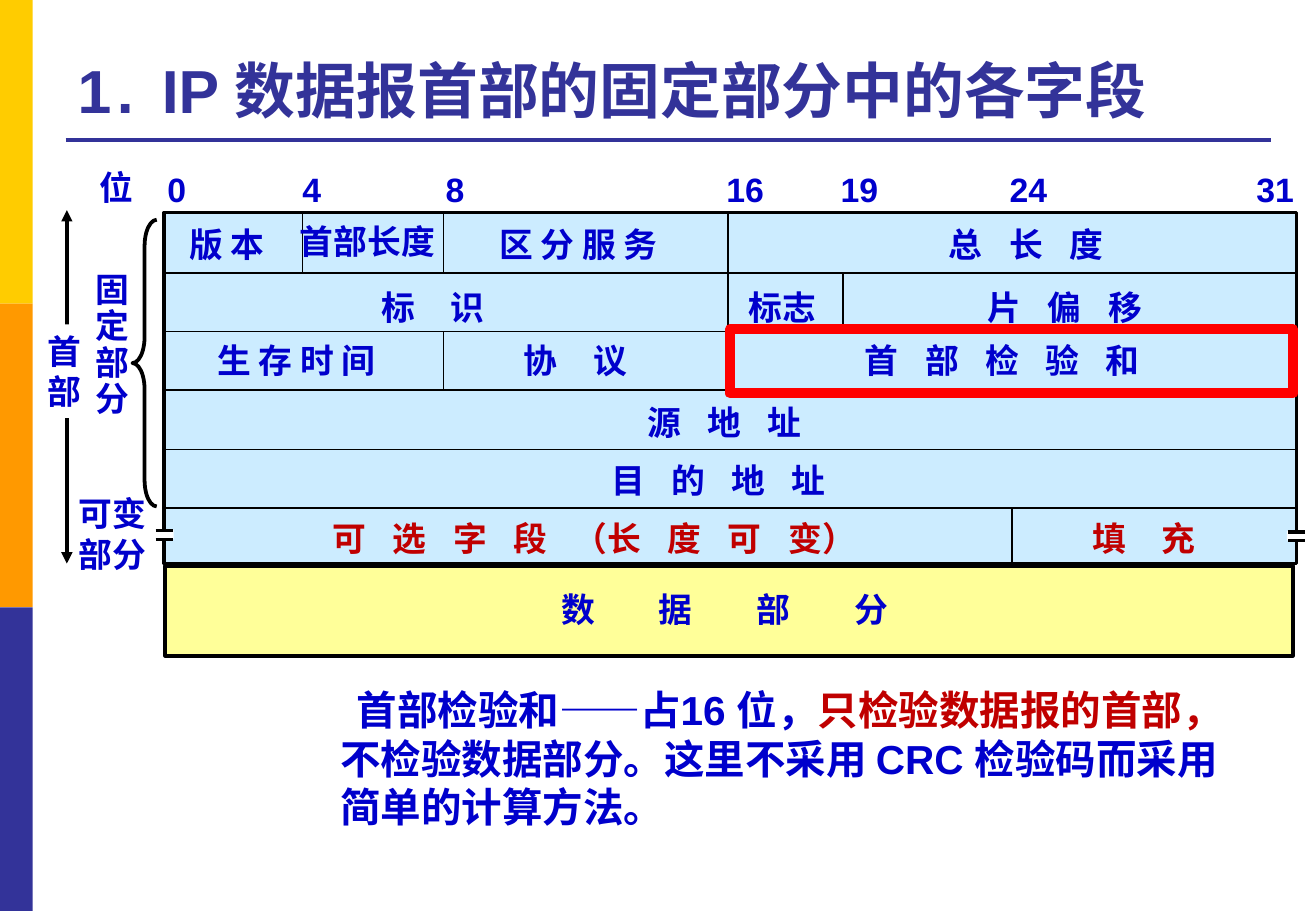
from lxml.etree import SubElement
from pptx import Presentation
from pptx.dml.color import RGBColor
from pptx.enum.shapes import MSO_CONNECTOR as Connector, MSO_SHAPE as Shape
from pptx.enum.text import MSO_ANCHOR as Anchor, PP_ALIGN as Align
from pptx.oxml.ns import qn
from pptx.util import Inches, Pt

BLUE, RED, NAVY = "0000CC", "C00000", "333399"
BLACK, WHITE = "000000", "FFFFFF"
TABLE_LEFT, TABLE_RIGHT = 1.34, 10.68
TABLE_TOP, ROW_STEP = 1.76, 0.485
ROW_LINES = [round(TABLE_TOP + ROW_STEP * row, 2) for row in range(7)]
ROW_TEXT = [1.79, 2.31, 2.75, 3.26, 3.74, 4.21]
LABEL_HEIGHT = 0.43
# Letter spacing in points for narrow, wide and very wide labels
WIDE, WIDER, WIDEST = 5.56, 8.34, 16.68

BIT_LABELS = [(1.28, "0"), (2.39, "4"), (3.57, "8"), (5.88, "16"),
              (6.82, "19"), (8.21, "24"), (10.24, "31")]
# Row, left, width, text, letter spacing
FIELDS = [
    (0, 1.46, 0.84, "版 本", 0),
    (0, 4.01, 1.56, "区 分 服 务", 0),
    (0, 7.71, 1.51, "总 长 度", WIDE),
    (1, 3.04, 1.07, "标 识", WIDER),
    (1, 6.06, 0.76, "标志", 0),
    (1, 8.03, 1.51, "片 偏 移", WIDE),
    (2, 1.69, 1.56, "生 存 时 间", 0),
    (2, 4.21, 1.07, "协 议", WIDER),
    (2, 7.02, 2.54, "首 部 检 验 和", WIDE),
    (3, 5.23, 1.51, "源 地 址", WIDE),
    (4, 4.93, 2.02, "目 的 地 址", WIDE),
]
# x, first row line, last row line
DIVIDERS = [(2.49, 0, 1), (3.65, 0, 1), (3.65, 2, 3), (5.99, 0, 3),
            (6.94, 1, 2), (8.33, 5, 6)]


def color(value):
    return RGBColor.from_string(value)


def add_run(paragraph, text, size=20, ink=BLUE, spacing=0):
    run = paragraph.add_run()
    run.text = text
    run.font.name = "Arial"
    run.font.size = Pt(size)
    run.font.bold = True
    run.font.color.rgb = color(ink)
    if spacing:
        run.font._element.set("spc", str(round(spacing * 100)))


class SlideBuilder:
    def __init__(self, slide):
        self.slide = slide

    def box(self, left, top, width, height, fill=None, line=None, weight=1,
            kind=Shape.RECTANGLE):
        shape = self.slide.shapes.add_shape(
            kind, Inches(left), Inches(top), Inches(width), Inches(height))
        shape.shadow.inherit = False
        if fill:
            shape.fill.solid()
            shape.fill.fore_color.rgb = color(fill)
        else:
            shape.fill.background()
        if line:
            shape.line.color.rgb = color(line)
            shape.line.width = Pt(weight)
        else:
            shape.line.fill.background()
        return shape

    def line(self, x1, y1, x2, y2, ink=BLACK, weight=1, arrows=False):
        connector = self.slide.shapes.add_connector(
            Connector.STRAIGHT, Inches(x1), Inches(y1), Inches(x2), Inches(y2))
        connector.line.color.rgb = color(ink)
        connector.line.width = Pt(weight)
        if arrows:
            outline = connector.line._get_or_add_ln()
            for end in ("a:headEnd", "a:tailEnd"):
                SubElement(outline, qn(end), type="triangle")
        SubElement(connector._element.spPr, qn("a:effectLst"))

    def text(self, left, top, width, height, paragraphs, wrap=False, fill=None,
             align=Align.LEFT, anchor=Anchor.TOP, line_spacing=None, **style):
        """Paragraphs are strings, or lists of (text, style) runs."""
        shape = self.slide.shapes.add_textbox(
            Inches(left), Inches(top), Inches(width), Inches(height))
        if fill:
            shape.fill.solid()
            shape.fill.fore_color.rgb = color(fill)
        frame = shape.text_frame
        frame.word_wrap = wrap
        frame.vertical_anchor = anchor
        for index, content in enumerate(paragraphs):
            paragraph = frame.add_paragraph() if index else frame.paragraphs[0]
            paragraph.alignment = align
            paragraph.line_spacing = line_spacing
            runs = [(content, {})] if isinstance(content, str) else content
            for text, own_style in runs:
                add_run(paragraph, text, **{**style, **own_style})
        return shape

    def break_mark(self, left, top):
        self.box(left, top, 0.16, 0.08, fill=WHITE)
        for y in (top + 0.01, top + 0.08):
            self.line(left + 0.01, y, left + 0.15, y, weight=2)


def add_frame(builder):
    for index, fill in enumerate(("FFCC00", "FF9900", NAVY)):
        builder.box(0, 2.5 * index, 0.27, 2.5, fill=fill)
    builder.line(0.54, 1.15, 10.46, 1.15, ink=NAVY, weight=2.25)
    builder.text(0.54, 0.21, 9.91, 0.87,
                 [[("1. ", {"spacing": 3.3}), ("IP 数据报首部的固定部分中的各字段", {})]],
                 wrap=True, anchor=Anchor.BOTTOM, size=36, ink=NAVY)


def add_datagram(builder):
    builder.box(1.35, 1.75, 9.32, 2.89, fill="CCECFF", line=BLACK, weight=2)
    builder.box(1.36, 4.66, 9.28, 0.74, fill="FFFF99", line=BLACK, weight=2.25)
    for y in ROW_LINES[1:-1]:
        builder.line(TABLE_LEFT, y, TABLE_RIGHT, y)
    for x, first, last in DIVIDERS:
        builder.line(x, ROW_LINES[first], x, ROW_LINES[last])
    for left, bit in BIT_LABELS:
        builder.text(left, 1.34, 0.36 if len(bit) == 1 else 0.51,
                     LABEL_HEIGHT, [bit])
    for row, left, width, name, spacing in FIELDS:
        builder.text(left, ROW_TEXT[row], width, LABEL_HEIGHT, [name],
                     spacing=spacing)
    builder.text(2.37, 1.77, 1.32, LABEL_HEIGHT, ["首部长度"])
    wide = {"spacing": WIDE}
    builder.text(2.64, ROW_TEXT[5], 4.56, LABEL_HEIGHT,
                 [[("可 选 字 段 ", wide), ("（", {}),
                   ("长 度 可 ", wide), ("变）", {})]], ink=RED)
    builder.text(8.89, ROW_TEXT[5], 1.07, LABEL_HEIGHT, ["填 充"],
                 ink=RED, spacing=WIDER)
    builder.text(4.52, 4.8, 3.45, LABEL_HEIGHT, ["数 据 部 分"], wrap=True,
                 spacing=WIDEST)
    builder.break_mark(1.27, 4.36)
    builder.break_mark(10.59, 4.37)


def add_side_labels(builder):
    builder.text(0.72, 1.32, 0.48, LABEL_HEIGHT, ["位"])
    builder.text(0.69, 2.2, 0.48, 1.31, list("固定部分"), line_spacing=0.9)
    builder.text(0.55, 4.01, 0.76, 0.77, ["可变", "部分"])
    builder.line(0.55, 1.73, 0.55, 4.64, weight=2.25, arrows=True)
    builder.text(0.29, 2.67, 0.48, 0.77, list("首部"), fill=WHITE)
    brace = builder.box(1.09, 1.81, 0.2, 2.36, line=BLACK, weight=2.25,
                        kind=Shape.LEFT_BRACE)
    brace.adjustments[0] = 1.08


def add_checksum_note(builder):
    note = builder.text(
        2.7, 5.59, 7.6, 1.31,
        [[("首部检验和——占16 位，", {}), ("只检验数据报的首部，", {"ink": RED})],
         "不检验数据部分。这里不采用 CRC 检验码而采用简单的计算方法。"],
        wrap=True, size=24)
    note.text_frame.paragraphs[0].alignment = Align.CENTER
    builder.box(6.01, 2.71, 4.63, 0.53, line="FF0000", weight=6)


def main():
    presentation = Presentation()
    presentation.slide_width = Inches(10.83)
    presentation.slide_height = Inches(7.5)
    builder = SlideBuilder(
        presentation.slides.add_slide(presentation.slide_layouts[6]))
    add_frame(builder)
    add_datagram(builder)
    add_side_labels(builder)
    add_checksum_note(builder)
    presentation.save("out.pptx")


if __name__ == "__main__":
    main()
